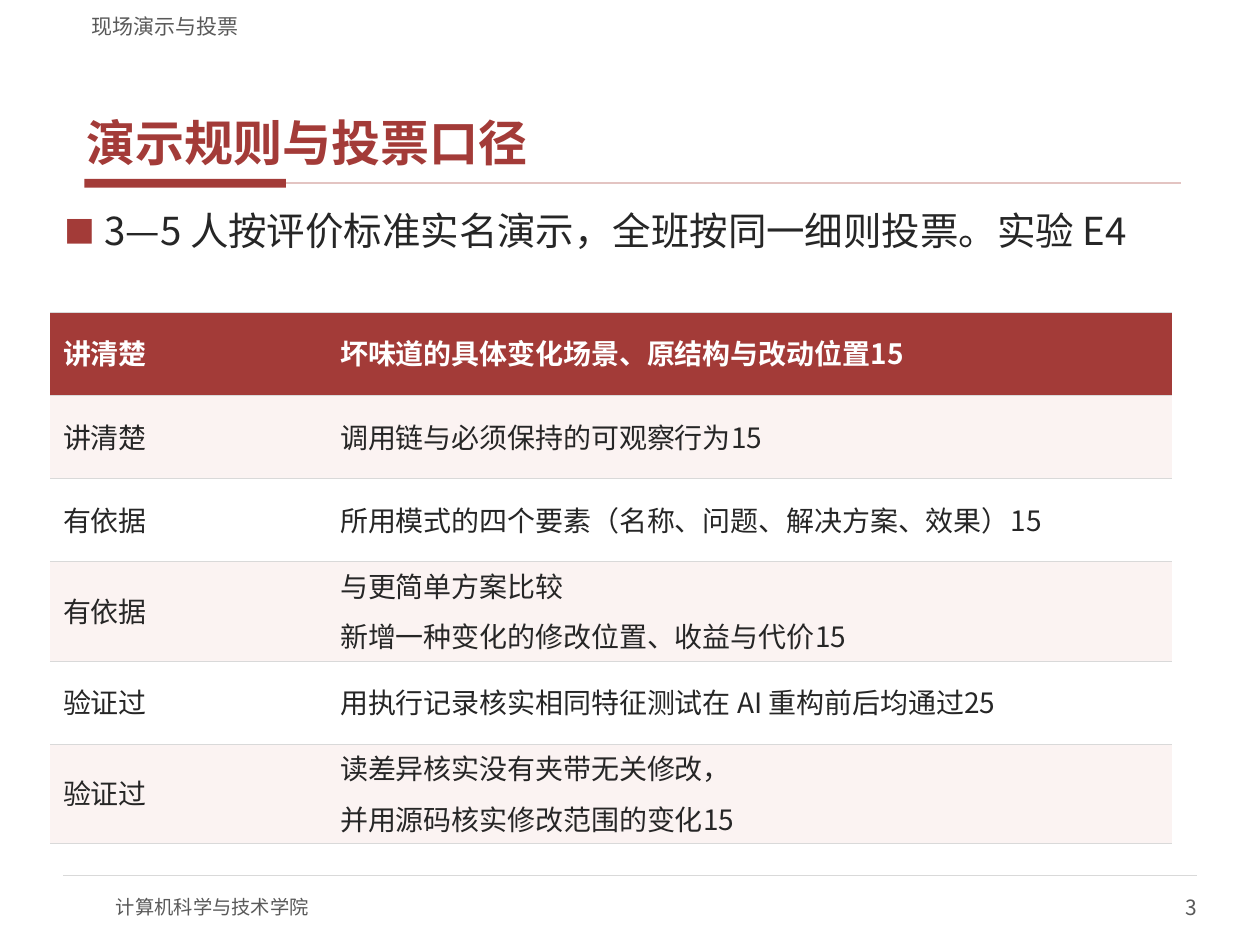
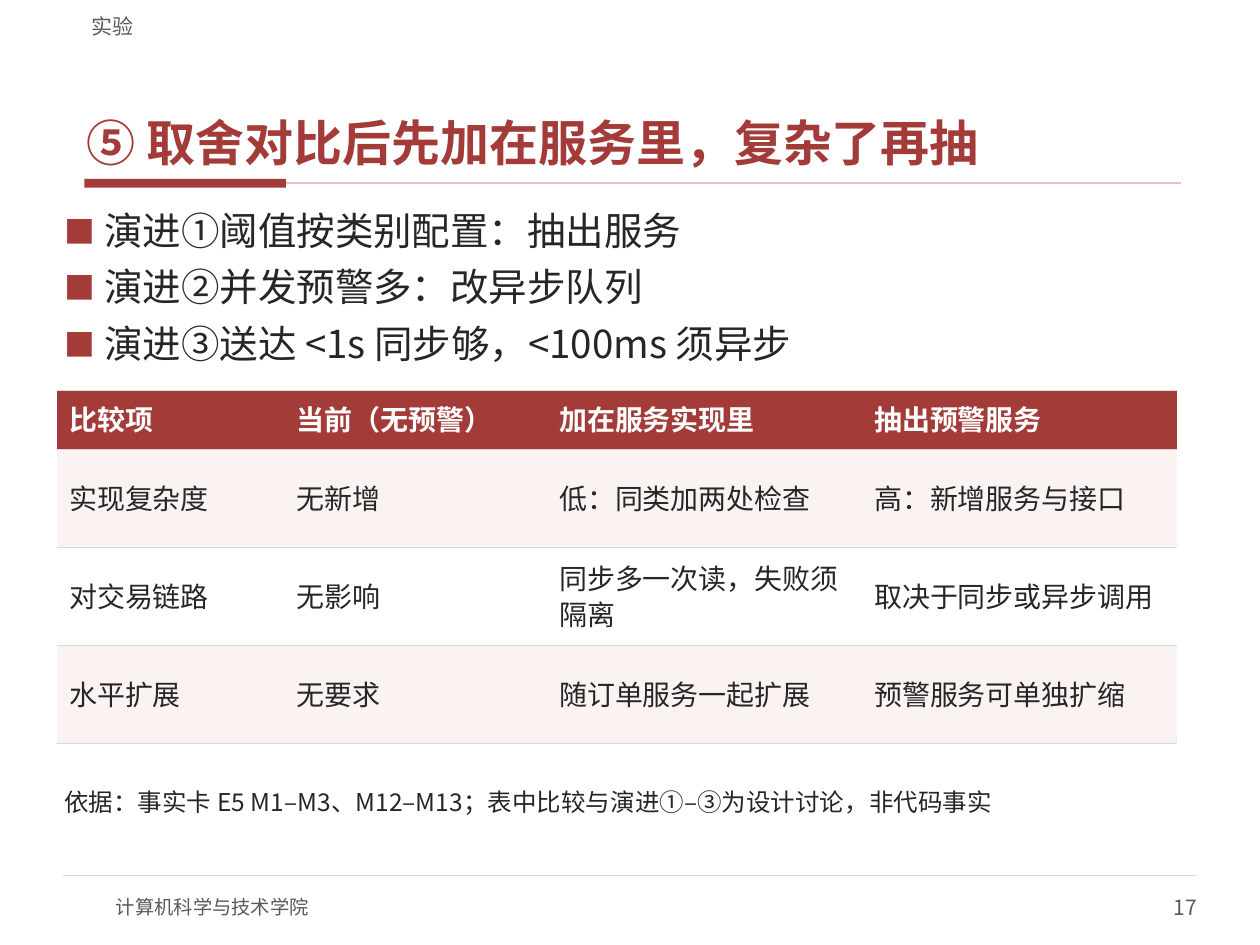
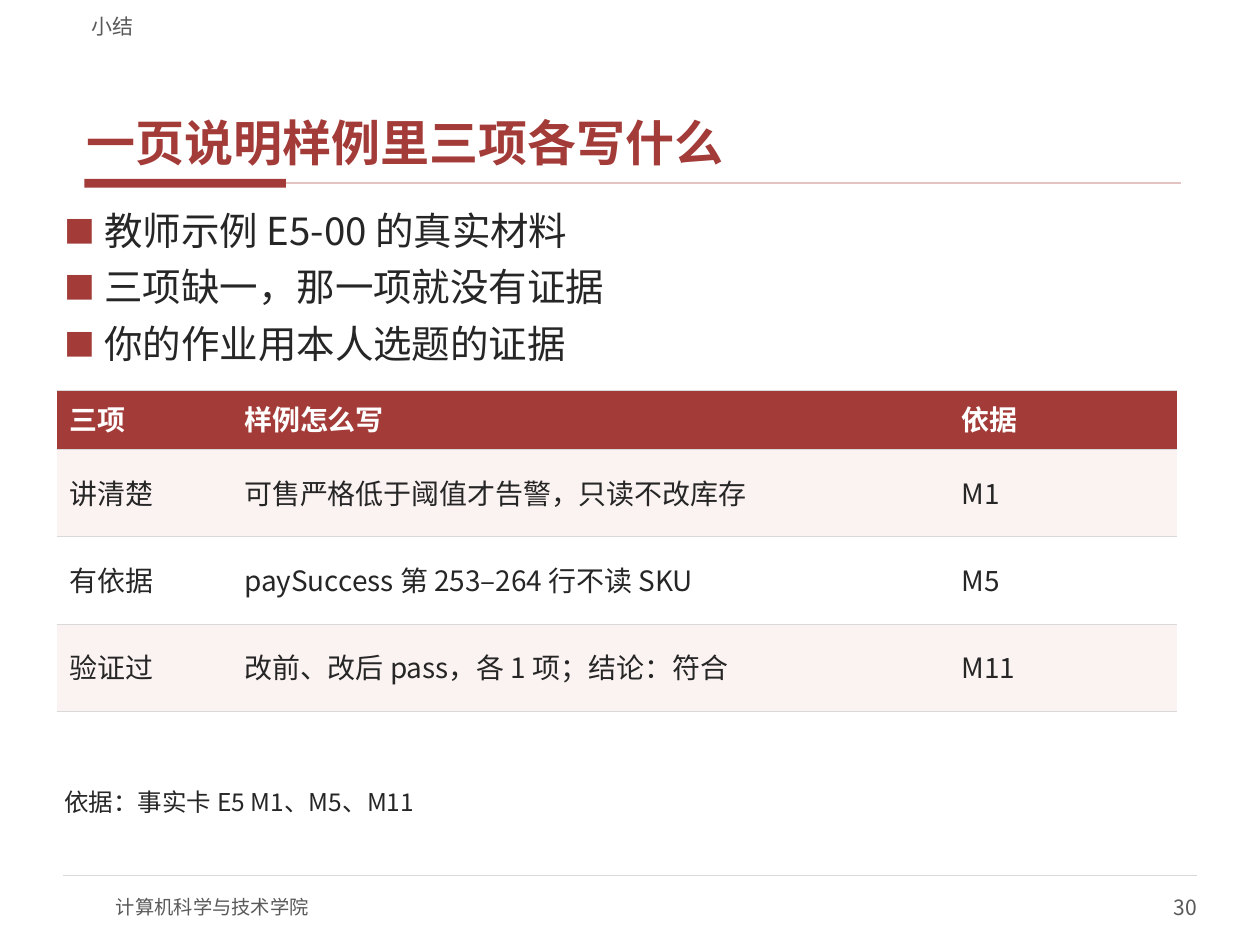
from lxml import etree
from pptx import Presentation
from pptx.dml.color import RGBColor
from pptx.enum.shapes import MSO_CONNECTOR, MSO_SHAPE
from pptx.enum.text import MSO_ANCHOR, MSO_AUTO_SIZE, PP_ALIGN
from pptx.oxml.ns import qn
from pptx.util import Pt

LEFT, RIGHT = PP_ALIGN.LEFT, PP_ALIGN.RIGHT
TOP, MIDDLE, BOTTOM = MSO_ANCHOR.TOP, MSO_ANCHOR.MIDDLE, MSO_ANCHOR.BOTTOM
STRAIGHT, RECTANGLE = MSO_CONNECTOR.STRAIGHT, MSO_SHAPE.RECTANGLE
NO_AUTOFIT = MSO_AUTO_SIZE.NONE

# Shared style
FONT = "Noto Sans CJK SC"
RED, PALE_RED, TINT = "A33B38", "E3C4C2", "FBF3F2"
WHITE, INK, GREY, RULE = "FFFFFF", "262626", "595959", "D9D9D9"
FOOTER = "计算机科学与技术学院"
BODY_MARGINS = (4.32, 1.44)
CELL_MARGINS = (7.2, 3.6)

# Content; a table cell with several paragraphs is a tuple
SLIDES = [
    {
        "number": 3,
        "section": "现场演示与投票",
        "title": "演示规则与投票口径",
        "bullets": ["3—5 人按评价标准实名演示，全班按同一细则投票。实验 E4"],
        "bullets_height": 56,
        "table_at": (28.8, 178.56),
        "columns": [158.4, 482.4],
        "header_height": 47.52,
        "row_height": 47.52,
        "rows": [
            ["讲清楚", "坏味道的具体变化场景、原结构与改动位置15"],
            ["讲清楚", "调用链与必须保持的可观察行为15"],
            ["有依据", "所用模式的四个要素（名称、问题、解决方案、效果）15"],
            ["有依据", ("与更简单方案比较", "新增一种变化的修改位置、收益与代价15")],
            ["验证过", "用执行记录核实相同特征测试在 AI 重构前后均通过25"],
            ["验证过", ("读差异核实没有夹带无关修改，", "并用源码核实修改范围的变化15")],
        ],
    },
    {
        "number": 17,
        "section": "实验",
        "title": "⑤ 取舍对比后先加在服务里，复杂了再抽",
        "bullets": [
            "演进①阈值按类别配置：抽出服务",
            "演进②并发预警多：改异步队列",
            "演进③送达 <1s 同步够，<100ms 须异步",
        ],
        "bullets_height": 98.6,
        "table_at": (32.4, 223.2),
        "columns": [130, 150, 180, 180],
        "header_height": 33.6,
        "row_height": 56,
        "rows": [
            ["比较项", "当前（无预警）", "加在服务实现里", "抽出预警服务"],
            ["实现复杂度", "无新增", "低：同类加两处检查", "高：新增服务与接口"],
            ["对交易链路", "无影响", "同步多一次读，失败须隔离", "取决于同步或异步调用"],
            ["水平扩展", "无要求", "随订单服务一起扩展", "预警服务可单独扩缩"],
        ],
        "note": "依据：事实卡 E5 M1–M3、M12–M13；表中比较与演进①–③为设计讨论，非代码事实",
    },
    {
        "number": 30,
        "section": "小结",
        "title": "一页说明样例里三项各写什么",
        "bullets": [
            "教师示例 E5-00 的真实材料",
            "三项缺一，那一项就没有证据",
            "你的作业用本人选题的证据",
        ],
        "bullets_height": 98.6,
        "table_at": (32.4, 223.2),
        "columns": [100, 410, 130],
        "header_height": 33.6,
        "row_height": 50,
        "rows": [
            ["三项", "样例怎么写", "依据"],
            ["讲清楚", "可售严格低于阈值才告警，只读不改库存", "M1"],
            ["有依据", "paySuccess 第 253–264 行不读 SKU", "M5"],
            ["验证过", "改前、改后 pass，各 1 项；结论：符合", "M11"],
        ],
        "note": "依据：事实卡 E5 M1、M5、M11",
    },
]


def color(value):
    return RGBColor.from_string(value)


def add_element(parent, tag, **attributes):
    return etree.SubElement(parent, qn(tag), attributes)


def add_bullet(para):
    properties = para._p.get_or_add_pPr()
    properties.set("marL", str(Pt(23)))
    properties.set("indent", str(-Pt(23)))
    add_element(add_element(properties, "a:buClr"), "a:srgbClr", val=RED)
    add_element(properties, "a:buSzPct", val="80000")
    add_element(properties, "a:buFont", typeface=FONT)
    add_element(properties, "a:buChar", char="■")


def write(frame, lines, size=16, ink=INK, bold=False, align=LEFT, before=0,
          after=0, spacing=1.0, bullet=False):
    for index, line in enumerate(lines):
        para = frame.paragraphs[0] if index == 0 else frame.add_paragraph()
        para.alignment = align
        para.space_before = Pt(before if index else 0)
        para.space_after = Pt(after)
        para.line_spacing = spacing
        if bullet:
            add_bullet(para)
        span = para.add_run()
        span.text = line
        span.font.name = FONT
        span.font.size = Pt(size)
        span.font.bold = bold
        span.font.color.rgb = color(ink)
        add_element(span.font._element, "a:ea", typeface=FONT)


def set_frame(frame, anchor, margins):
    frame.word_wrap = True
    frame.auto_size = NO_AUTOFIT
    frame.vertical_anchor = anchor
    frame.margin_left = frame.margin_right = Pt(margins[0])
    frame.margin_top = frame.margin_bottom = Pt(margins[1])


def add_text(page, lines, left, top, width, height, anchor=TOP,
             margins=BODY_MARGINS, **style):
    box = page.shapes.add_textbox(Pt(left), Pt(top), Pt(width), Pt(height))
    set_frame(box.text_frame, anchor, margins)
    write(box.text_frame, lines, **style)


def add_rule(page, left, right, y, ink, weight):
    rule = page.shapes.add_connector(STRAIGHT, Pt(left), Pt(y), Pt(right), Pt(y))
    rule.line.color.rgb = color(ink)
    rule.line.width = Pt(weight)
    add_element(rule._element.spPr, "a:effectLst")


def set_borders(cell):
    properties = cell._tc.get_or_add_tcPr()
    for index, side in enumerate(("a:lnL", "a:lnR", "a:lnT", "a:lnB")):
        border = etree.Element(qn(side), w=str(Pt(0.75)))
        if side in ("a:lnT", "a:lnB"):
            add_element(add_element(border, "a:solidFill"), "a:srgbClr", val=RULE)
        else:
            add_element(border, "a:noFill")
        properties.insert(index, border)


def add_frame_parts(page, content):
    # Title with its two-part underline
    title = page.shapes.title
    title.left, title.top, title.width, title.height = map(Pt, (45.36, 23.76, 630, 75.6))
    set_frame(title.text_frame, BOTTOM, BODY_MARGINS)
    write(title.text_frame, [content["title"]], size=28, ink=RED, bold=True, after=2)
    accent = page.shapes.add_shape(RECTANGLE, Pt(48.24), Pt(102.24), Pt(115.2), Pt(5.04))
    accent.shadow.inherit = False
    accent.fill.solid()
    accent.fill.fore_color.rgb = color(RED)
    accent.line.fill.background()
    add_rule(page, 163.44, 674.64, 104.76, PALE_RED, 1)

    # Section name above, footer below
    add_text(page, [content["section"]], 45.36, 2.88, 630, 19.44, anchor=BOTTOM,
             margins=(7.2, 0), size=12, ink=GREY)
    add_rule(page, 36, 684, 500.4, RULE, 0.75)
    add_text(page, [FOOTER], 66.24, 504, 288, 28.8, anchor=MIDDLE,
             margins=(0, 0), size=11, ink=GREY)
    add_text(page, [str(content["number"])], 540, 504, 144, 28.8, anchor=MIDDLE,
             margins=(0, 0), size=12, ink=GREY, align=RIGHT)


def add_grid(page, content):
    rows, columns = content["rows"], content["columns"]
    heights = [content["header_height"]] + [content["row_height"]] * (len(rows) - 1)
    left, top = content["table_at"]
    table = page.shapes.add_table(len(rows), len(columns), Pt(left), Pt(top),
                                  Pt(sum(columns)), Pt(sum(heights))).table
    table.horz_banding = False
    for column, width in zip(table.columns, columns):
        column.width = Pt(width)
    for row_index, (row, height) in enumerate(zip(rows, heights)):
        table.rows[row_index].height = Pt(height)
        header = row_index == 0
        fill = RED if header else (TINT if row_index % 2 else WHITE)
        for column_index, text in enumerate(row):
            cell = table.cell(row_index, column_index)
            cell.fill.solid()
            cell.fill.fore_color.rgb = color(fill)
            set_borders(cell)
            cell.vertical_anchor = MIDDLE
            cell.margin_left = cell.margin_right = Pt(CELL_MARGINS[0])
            cell.margin_top = cell.margin_bottom = Pt(CELL_MARGINS[1])
            lines = [text] if isinstance(text, str) else text
            write(cell.text_frame, lines, ink=WHITE if header else INK,
                  bold=header, before=6, after=2, spacing=0.9)


def main():
    deck = Presentation()
    deck.slide_width, deck.slide_height = Pt(720), Pt(540)
    title_only = deck.slide_layouts[5]
    for content in SLIDES:
        page = deck.slides.add_slide(title_only)
        add_frame_parts(page, content)
        add_text(page, content["bullets"], 32.4, 116.64, 655.2,
                 content["bullets_height"], size=22, before=4, after=2, bullet=True)
        add_grid(page, content)
        if "note" in content:
            add_text(page, [content["note"]], 32.4, 448.56, 655.2, 36, size=14, after=2)
    deck.save("out.pptx")


if __name__ == "__main__":
    main()
